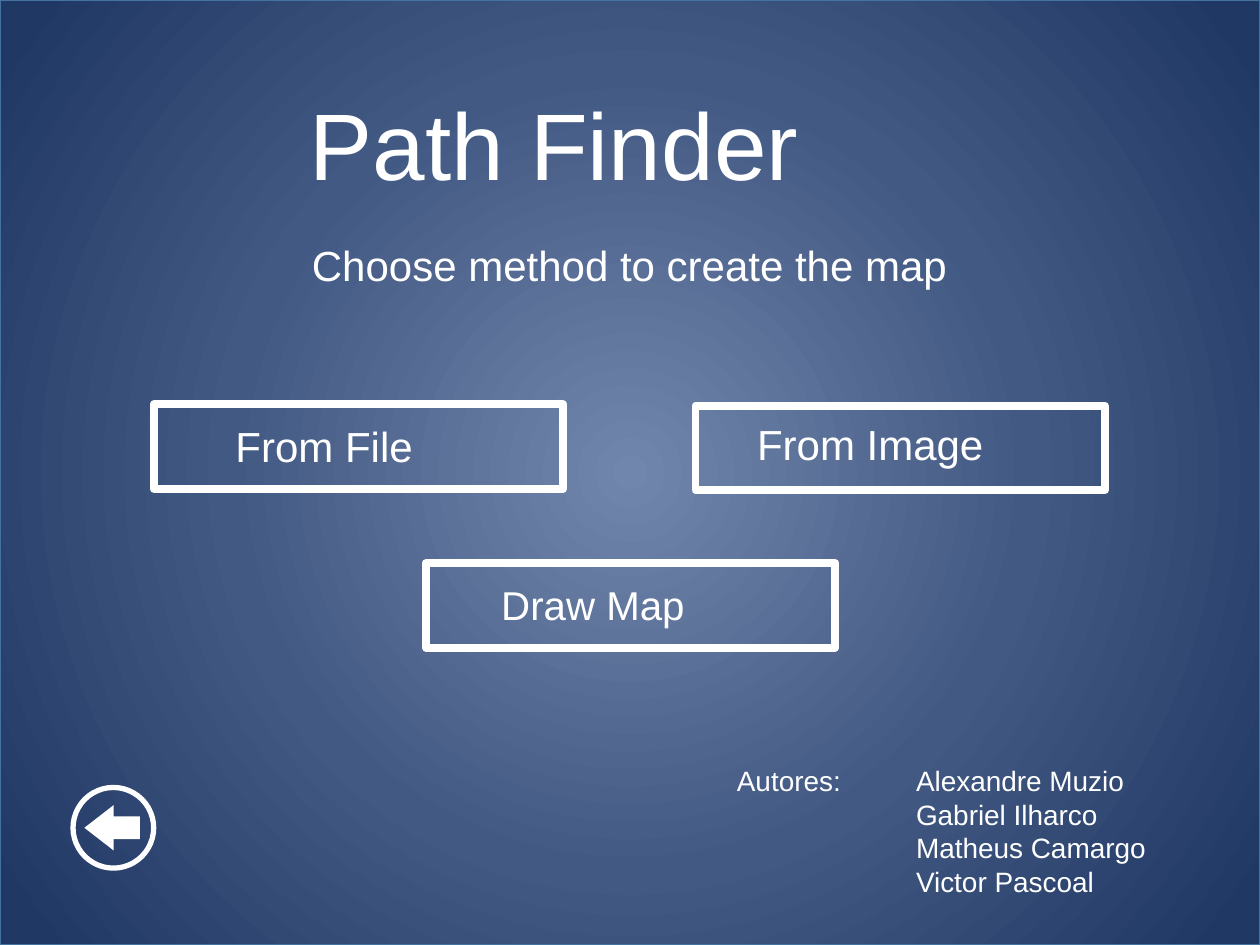
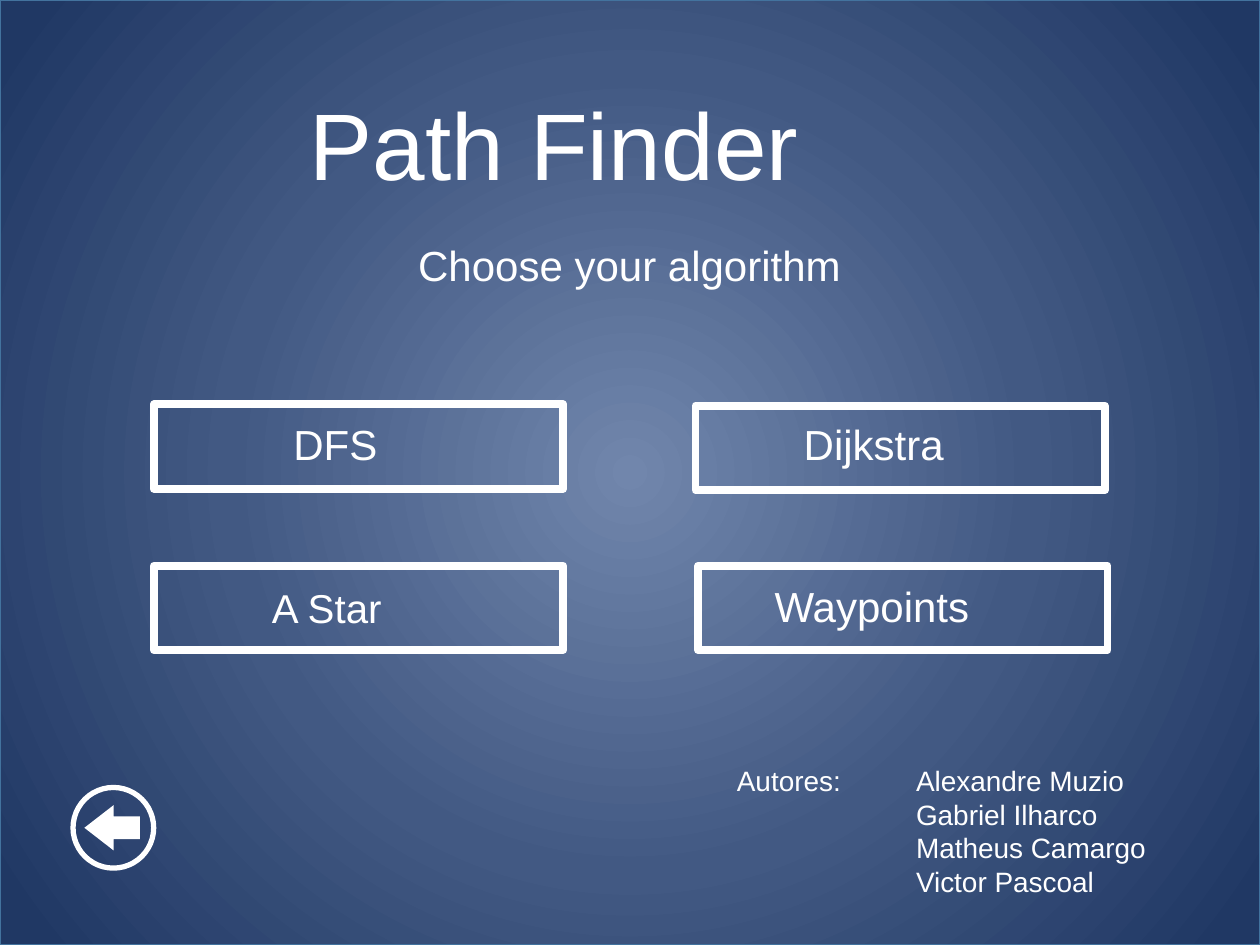
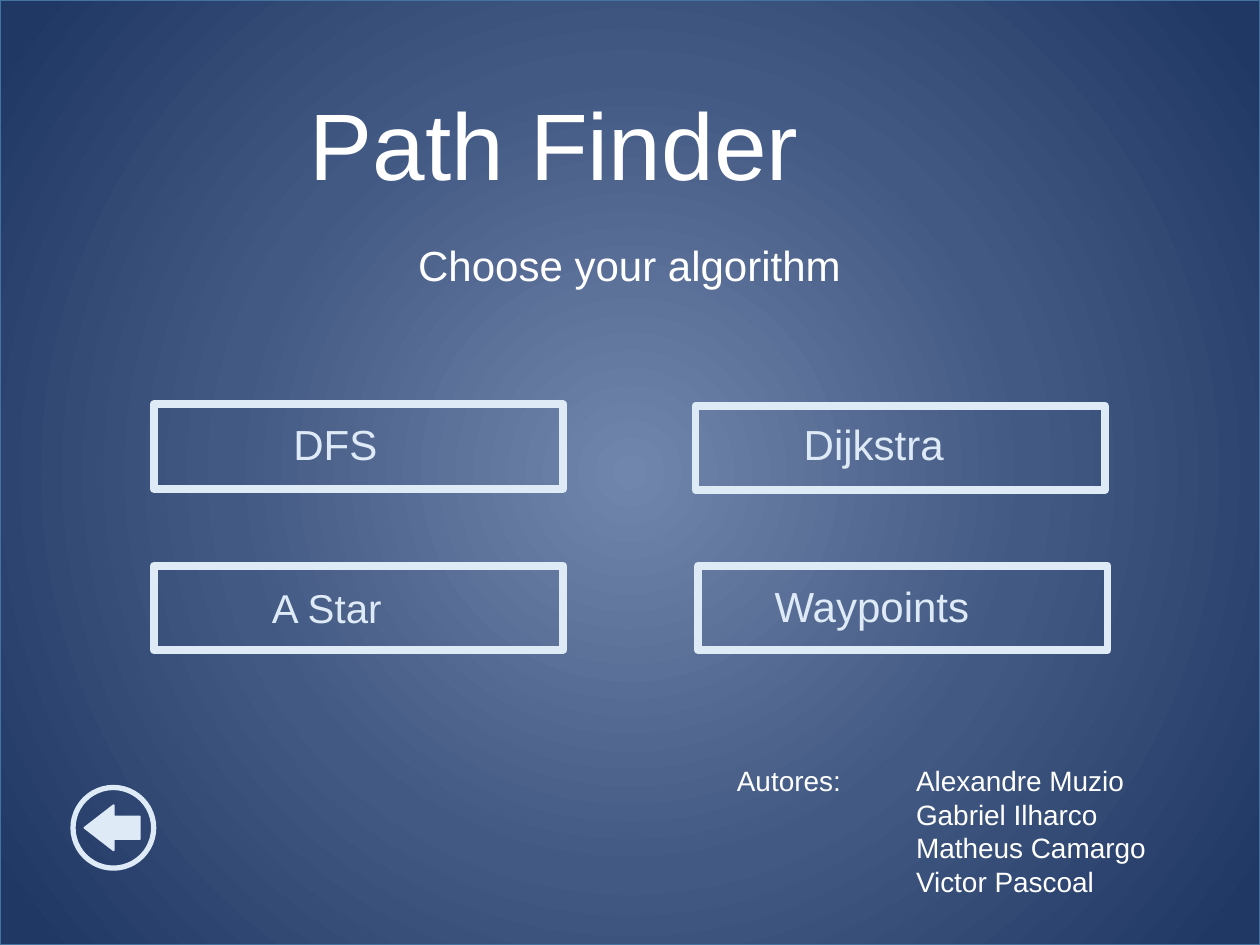
"""Build the three Path Finder menu screens."""
import dataclasses
import typing

import pptx
import pptx.dml.color
import pptx.enum.shapes
import pptx.enum.text
import pptx.oxml
import pptx.oxml.ns
import pptx.util

Pt = pptx.util.Pt
RGBColor = pptx.dml.color.RGBColor
Preset = pptx.enum.shapes.MSO_SHAPE
Align = pptx.enum.text.PP_ALIGN

WHITE = RGBColor(0xFF, 0xFF, 0xFF)
PALE_BLUE = RGBColor(0xDE, 0xEB, 0xF7)
EDGE_BLUE = RGBColor(0x43, 0x73, 0x9E)
GLOW_STOPS = (
    (0, RGBColor(0x71, 0x86, 0xAC)),
    (51, RGBColor(0x42, 0x59, 0x83)),
    (96, RGBColor(0x20, 0x38, 0x64)),
)

FONT = "Arial"
SCREEN_WIDTH, SCREEN_HEIGHT = 720, 540
BUTTON_WIDTH, BUTTON_HEIGHT = 234, 48.24
LEFT_COLUMN, RIGHT_COLUMN = 87.84, 397.44
AUTHORS = ("Alexandre Muzio", "Gabriel Ilharco", "Matheus Camargo", "Victor Pascoal")

FRAME_FORMAT = {
    "word_wrap": True,
    "auto_size": pptx.enum.text.MSO_AUTO_SIZE.SHAPE_TO_FIT_TEXT,
    "vertical_anchor": pptx.enum.text.MSO_ANCHOR.TOP,
}


class Box(typing.NamedTuple):
    left: float
    top: float
    width: float
    height: float

    def lengths(self) -> list[pptx.util.Length]:
        return [Pt(value) for value in self]


@dataclasses.dataclass(frozen=True)
class Button:
    label: str
    left: float
    top: float
    label_box: Box
    size: float = 24


@dataclasses.dataclass(frozen=True)
class Screen:
    prompt: str
    buttons: tuple[Button, ...]
    accent: RGBColor = WHITE


TITLE_BOX = Box(169.92, 45.36, 451.44, 72.72)
PROMPT_BOX = Box(86.4, 133.2, 546.48, 36)
CREDIT_BOX = Box(414, 432.72, 107.28, 26.64)
AUTHORS_BOX = Box(516.24, 432.72, 210.24, 84.96)
BACK_RING = Box(41.76, 450, 46.08, 46.08)
BACK_ARROW = Box(48.24, 460.08, 31.68, 25.92)

METHODS = (
    Button("From Image", RIGHT_COLUMN, 231.84, Box(425.52, 235.44, 188.64, 36)),
    Button("From File", LEFT_COLUMN, 231.12, Box(127.44, 236.88, 198, 36)),
    Button("Draw Map", 243.36, 321.84, Box(279.36, 328.32, 161.28, 35.28), 23),
)
ALGORITHMS = (
    Button("Dijkstra", RIGHT_COLUMN, 231.84, Box(452.16, 235.44, 138.24, 36)),
    Button("DFS", LEFT_COLUMN, 231.12, Box(160.56, 235.44, 88.56, 36)),
    Button("A Star", LEFT_COLUMN, 323.28, Box(148.32, 329.76, 161.28, 35.28), 23),
    Button("Waypoints", RIGHT_COLUMN + 1.44, 323.28, Box(435.6, 328.32, 172.8, 36)),
)
SCREENS = (
    Screen("Choose method to create the map", METHODS),
    Screen("Choose your algorithm", ALGORITHMS),
    Screen("Choose your algorithm", ALGORITHMS, PALE_BLUE),
)


def apply_format(target: typing.Any, values: dict[str, typing.Any]) -> None:
    for attribute, value in values.items():
        setattr(target, attribute, value)


def write(holder, box: Box, lines: typing.Sequence[str], size: float,
          color: RGBColor = WHITE, align=Align.LEFT) -> None:
    frame = holder.text_frame
    frame.text = "\n".join(lines)
    apply_format(frame, FRAME_FORMAT)
    for paragraph in frame.paragraphs:
        apply_format(paragraph, {"alignment": align, "space_before": Pt(0)})
        for run in paragraph.runs:
            apply_format(run.font, {"name": FONT, "size": Pt(size)})
            run.font.color.rgb = color
    apply_format(holder, dict(zip(Box._fields, box.lengths())))


def draw_outline(shapes, preset, box: Box, color: RGBColor, weight: float):
    outline = shapes.add_shape(preset, *box.lengths())
    outline.shadow.inherit = False
    outline.fill.background()
    outline.line.color.rgb = color
    outline.line.width = Pt(weight)
    return outline


def draw_backdrop(slide) -> None:
    backdrop = draw_outline(slide.shapes, Preset.RECTANGLE,
                            Box(0, 0, SCREEN_WIDTH, SCREEN_HEIGHT), EDGE_BLUE, 1)
    stops = "".join(
        f'<a:gs pos="{percent * 1000}"><a:srgbClr val="{color}"/></a:gs>'
        for percent, color in GLOW_STOPS
    )
    glow = pptx.oxml.parse_xml(
        f'<a:gradFill {pptx.oxml.ns.nsdecls("a")} rotWithShape="1"><a:gsLst>{stops}</a:gsLst>'
        '<a:path path="circle"><a:fillToRect l="50000" t="50000" r="50000" b="50000"/>'
        "</a:path></a:gradFill>"
    )
    properties = backdrop.element.spPr
    properties.replace(properties.find(pptx.oxml.ns.qn("a:noFill")), glow)
    backdrop.element.getparent().insert(2, backdrop.element)


def draw_button(slide, button: Button, accent: RGBColor) -> None:
    members = slide.shapes.add_group_shape().shapes
    border = Box(button.left, button.top, BUTTON_WIDTH, BUTTON_HEIGHT)
    draw_outline(members, Preset.RECTANGLE, border, accent, 4.5)
    label = members.add_textbox(*button.label_box.lengths())
    write(label, button.label_box, [button.label], button.size, accent)


def draw_back_control(slide, accent: RGBColor) -> None:
    members = slide.shapes.add_group_shape().shapes
    draw_outline(members, Preset.OVAL, BACK_RING, accent, 3)
    arrow = draw_outline(members, Preset.LEFT_ARROW, BACK_ARROW, accent, 1)
    arrow.adjustments[0], arrow.adjustments[1] = 0.5, 0.646
    arrow.fill.solid()
    arrow.fill.fore_color.rgb = accent
    if accent == WHITE:
        arrow.line.fill.background()


def write_authors(slide) -> None:
    authors = slide.placeholders[1]
    write(authors, AUTHORS_BOX, AUTHORS, 16)
    for paragraph in authors.text_frame.paragraphs:
        properties = paragraph._p.get_or_add_pPr()
        for attribute in ("marL", "indent"):
            properties.set(attribute, "0")
        properties.append(pptx.oxml.parse_xml(f'<a:buNone {pptx.oxml.ns.nsdecls("a")}/>'))
    credit = slide.shapes.add_textbox(*CREDIT_BOX.lengths())
    write(credit, CREDIT_BOX, ["Autores:"], 16)


def build_screen(deck, screen: Screen) -> None:
    slide = deck.slides.add_slide(deck.slide_layouts[1])
    draw_backdrop(slide)
    write(slide.shapes.title, TITLE_BOX, ["Path Finder"], 54)
    write_authors(slide)
    prompt = slide.shapes.add_textbox(*PROMPT_BOX.lengths())
    write(prompt, PROMPT_BOX, [screen.prompt], 24, align=Align.CENTER)
    for button in screen.buttons:
        draw_button(slide, button, screen.accent)
    draw_back_control(slide, screen.accent)


def main() -> None:
    deck = pptx.Presentation()
    apply_format(deck, {"slide_width": Pt(SCREEN_WIDTH), "slide_height": Pt(SCREEN_HEIGHT)})
    for screen in SCREENS:
        build_screen(deck, screen)
    deck.save("out.pptx")


main()
